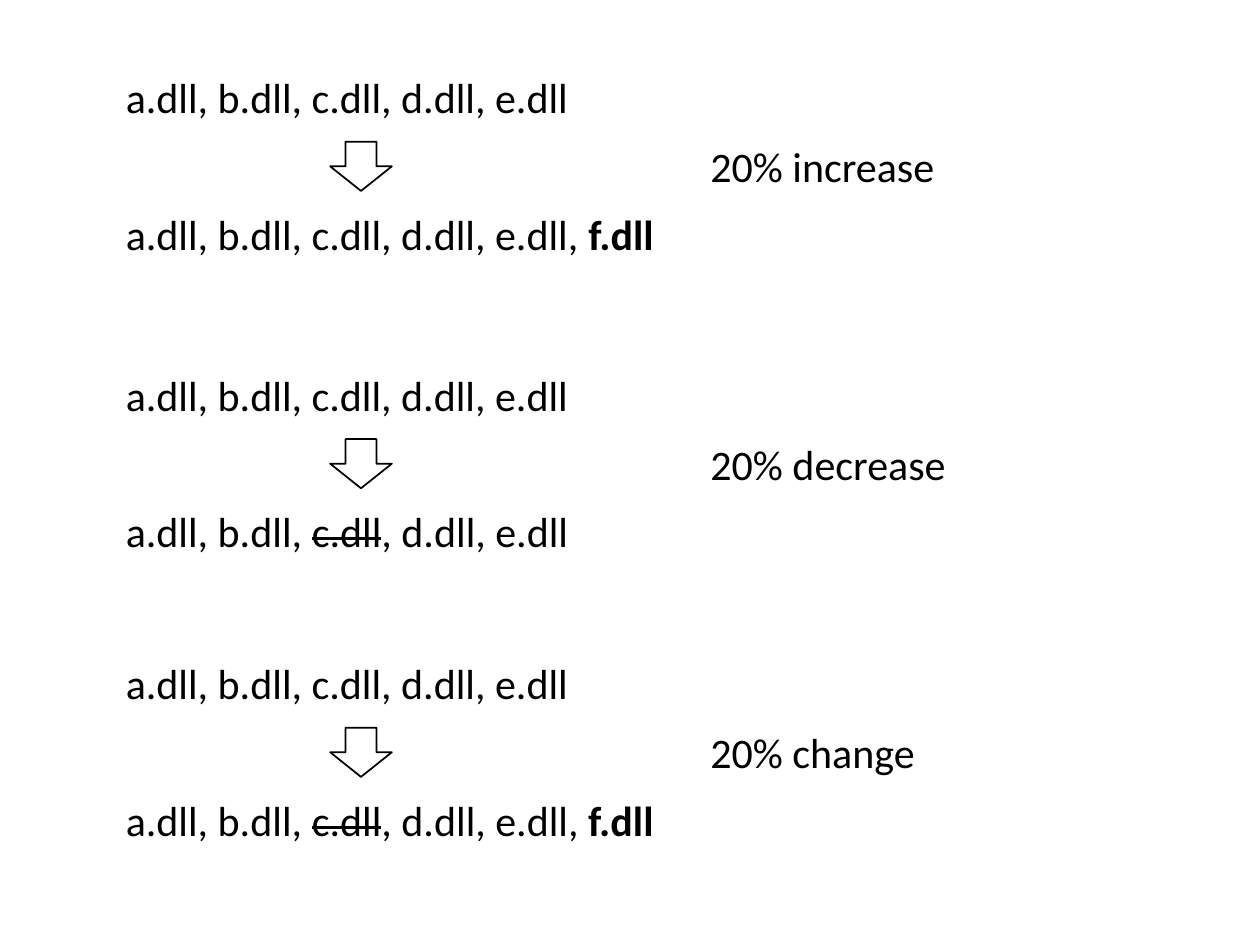
from pptx import Presentation
from pptx import util as u
from pptx.dml.color import RGBColor
from pptx.enum import shapes, text

COLORS = {"ink": "000000", "paper": "FFFFFF"}
COLUMNS, ROWS = 100, 75
SLIDE_WIDTH, SLIDE_HEIGHT = u.Inches(10), u.Inches(7.5)
LIST_LEFT, ARROW_LEFT, LABEL_LEFT = 9, 26.2, 55.4
ARROW_DROP, LABEL_DROP, RESULT_DROP = 6.05, 5.5, 10.85
TEXT_HEIGHT = 5
SHORT_LIST, LONG_LIST = 37.4, 44
BEFORE = [("a.dll, b.dll, c.dll, d.dll, e.dll", "")]
REMOVED = [("a.dll, b.dll, ", ""), ("c.dll", "strike")]
ADDED = ("f.dll", "bold")

CASES = [
    (5.2, [("a.dll, b.dll, c.dll, d.dll, e.dll, ", ""), ADDED], LONG_LIST, "20% increase", 20),
    (28.8, REMOVED + [(", d.dll, e.dll", "")], SHORT_LIST, "20% decrease", 20.9),
    (51.7, REMOVED + [(", d.dll, e.dll, ", ""), ADDED], LONG_LIST, "20% change", 18.4),
]


def grid(column, row, columns, rows):
    """Return left, top, width and height for a block of grid cells."""
    cell_width, cell_height = SLIDE_WIDTH / COLUMNS, SLIDE_HEIGHT / ROWS
    return (u.Emu(round(column * cell_width)), u.Emu(round(row * cell_height)),
            u.Emu(round(columns * cell_width)), u.Emu(round(rows * cell_height)))


def color(name):
    """Look up a named colour."""
    return RGBColor.from_string(COLORS[name])


def add_text(page, column, row, columns, spans):
    """Add one line of text made of (wording, style) spans."""
    box = page.shapes.add_textbox(*grid(column, row, columns, TEXT_HEIGHT))
    frame = box.text_frame
    frame.word_wrap = False
    frame.auto_size = text.MSO_AUTO_SIZE.SHAPE_TO_FIT_TEXT
    para = frame.paragraphs[0]
    for wording, style in spans:
        span = para.add_run()
        span.text = wording
        span.font.name = "Calibri"
        span.font.size = u.Pt(24)
        span.font.color.rgb = color("ink")
        if style == "bold":
            span.font.bold = True
        elif style == "strike":
            span._r.get_or_add_rPr().set("strike", "sngStrike")


def add_arrow(page, column, row):
    """Add an outlined arrow pointing down."""
    arrow = page.shapes.add_shape(shapes.MSO_SHAPE.DOWN_ARROW, *grid(column, row, 4.9, 3.9))
    arrow.shadow.inherit = False
    arrow.fill.solid()
    arrow.fill.fore_color.rgb = color("paper")
    arrow.line.color.rgb = color("ink")
    arrow.line.width = u.Pt(1)


def add_case(page, row, result, result_columns, label, label_columns):
    """Add a file list, its changed version and the size of the change."""
    add_text(page, LIST_LEFT, row, SHORT_LIST, BEFORE)
    add_text(page, LIST_LEFT, row + RESULT_DROP, result_columns, result)
    add_arrow(page, ARROW_LEFT, row + ARROW_DROP)
    add_text(page, LABEL_LEFT, row + LABEL_DROP, label_columns, [(label, "")])


def main():
    """Build the slide and save the deck."""
    deck = Presentation()
    deck.slide_width, deck.slide_height = SLIDE_WIDTH, SLIDE_HEIGHT
    page = deck.slides.add_slide(deck.slide_layouts[6])
    for case in CASES:
        add_case(page, *case)
    deck.save("out.pptx")


if __name__ == "__main__":
    main()
